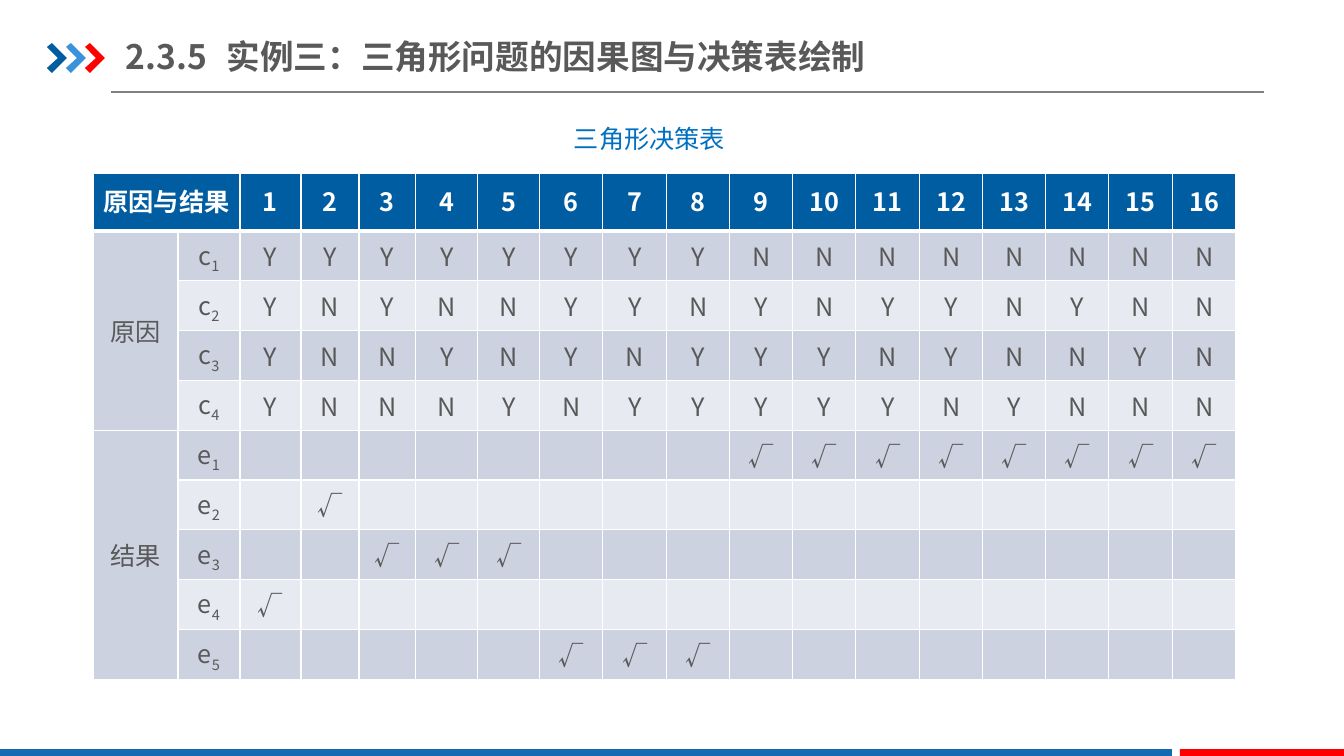
from lxml.etree import SubElement
from pptx import Presentation
from pptx.dml.color import RGBColor
from pptx.enum.shapes import MSO_CONNECTOR, MSO_SHAPE
from pptx.enum.text import MSO_ANCHOR, MSO_AUTO_SIZE, PP_ALIGN
from pptx.oxml import parse_xml
from pptx.oxml.ns import nsdecls, qn
from pptx.util import Pt

TITLE = "2.3.5\t实例三：三角形问题的因果图与决策表绘制"
CAPTION = "三角形决策表"
CORNER = "原因与结果"
RULES = 16
CAUSES = [
    "YYYYYYYYNNNNNNNN",
    "YNYNNYYNYNYYNYNN",
    "YNNYNYNYYYNYNNYN",
    "YNNNYNYYYYYNYNNN",
]
EFFECTS = [range(9, 17), [2], [3, 4, 5], [1], [6, 7, 8]]
EFFECT_ROWS = [["√" if rule in marked else "" for rule in range(1, RULES + 1)]
               for marked in EFFECTS]
GROUPS = [("原因", "c", CAUSES), ("结果", "e", EFFECT_ROWS)]

FONT = "Noto Sans CJK SC"
COLORS = {
    "navy": "005DA2", "sky": "3992DB", "red": "FF0000", "bar": "1369B2",
    "caption": "0070C0", "text": "595959", "rule": "808080", "white": "FFFFFF",
    "band_dark": "CCD2E0", "band_light": "E7EAF0",
}
CHEVRON = [(0, 4), (5, 0), (20, 15), (5, 30), (0, 25), (11, 15)]
CHEVRON_COLORS = ["navy", "sky", "red"]
BARS = [(0, 1172, "bar"), (1180, 164, "red")]
TABLE_LEFT, TABLE_TOP = 93, 173
HEADER_HEIGHT, ROW_HEIGHT = 58, 49
FIRST_WIDTHS = [85, 62, 61, 58, 57, 62, 62]
EVEN_COLUMNS, EVEN_SPAN = 11, 696


def px(length):
    return round(length * 914400 / 100.8)


def rgb(name):
    return RGBColor.from_string(COLORS[name])


def format_paragraph(paragraph, size, color, bold=False, align=PP_ALIGN.CENTER, spacing=None):
    paragraph.alignment = align
    paragraph.line_spacing = spacing
    paragraph.font.size = Pt(size)
    paragraph.font.bold = bold
    paragraph.font.name = FONT
    paragraph.font.color.rgb = rgb(color)
    defaults = paragraph._p.pPr.find(qn("a:defRPr"))
    SubElement(defaults, qn("a:ea"), typeface=FONT)


def paint(shape, color):
    shape.fill.solid()
    shape.fill.fore_color.rgb = rgb(color)
    shape.line.fill.background()
    shape.shadow.inherit = False


def format_cell(cell, fill, bottom=1):
    cell.vertical_anchor = MSO_ANCHOR.MIDDLE
    cell.fill.solid()
    cell.fill.fore_color.rgb = rgb(fill)
    properties = cell._tc.get_or_add_tcPr()
    for index, (side, width) in enumerate([("L", 1), ("R", 1), ("T", 1), ("B", bottom)]):
        properties.insert(index, parse_xml(
            f'<a:ln{side} {nsdecls("a")} w="{Pt(width)}"><a:solidFill>'
            f'<a:srgbClr val="{COLORS["white"]}"/></a:solidFill></a:ln{side}>'))


def add_frame(slide):
    rule = slide.shapes.add_connector(MSO_CONNECTOR.STRAIGHT, px(111), px(92), px(1264), px(92))
    rule.line.color.rgb = rgb("rule")
    rule.line.width = Pt(0.75)
    SubElement(rule._element.spPr, qn("a:effectLst"))
    for index, color in enumerate(CHEVRON_COLORS):
        points = [(px(47 + 19 * index + x), px(43 + y)) for x, y in CHEVRON]
        builder = slide.shapes.build_freeform(*points[0])
        builder.add_line_segments(points[1:], close=True)
        paint(builder.convert_to_shape(), color)
    for left, width, color in BARS:
        bar = slide.shapes.add_shape(MSO_SHAPE.RECTANGLE, px(left), px(749), px(width), px(9))
        paint(bar, color)


def add_headings(slide):
    title = slide.shapes.title
    title.left, title.top, title.width, title.height = px(126), px(29), px(773), px(55)
    frame = title.text_frame
    frame.text = TITLE
    frame.auto_size = MSO_AUTO_SIZE.NONE
    frame.vertical_anchor = MSO_ANCHOR.MIDDLE
    frame.margin_left = frame.margin_right = 0
    frame.margin_top = frame.margin_bottom = px(7)
    format_paragraph(frame.paragraphs[0], 24, "text", True, PP_ALIGN.LEFT)

    caption = slide.shapes.add_textbox(px(561), px(101), px(187), px(74)).text_frame
    caption.word_wrap = True
    caption.margin_left = caption.margin_right = px(13)
    caption.margin_top = caption.margin_bottom = px(7)
    caption.text = CAPTION
    format_paragraph(caption.paragraphs[0], 18, "caption", align=PP_ALIGN.JUSTIFY, spacing=1.5)


def add_decision_table(slide):
    edges = [round(EVEN_SPAN * i / EVEN_COLUMNS) for i in range(EVEN_COLUMNS + 1)]
    widths = FIRST_WIDTHS + [right - left for left, right in zip(edges, edges[1:])]
    heights = [HEADER_HEIGHT] + [ROW_HEIGHT] * (len(CAUSES) + len(EFFECTS))
    table = slide.shapes.add_table(
        len(heights), len(widths), px(TABLE_LEFT), px(TABLE_TOP),
        px(sum(widths)), px(sum(heights))).table
    for column, width in zip(table.columns, widths):
        column.width = px(width)
    for row, height in zip(table.rows, heights):
        row.height = px(height)

    for column, label in enumerate([CORNER, "", *range(1, RULES + 1)]):
        header = table.cell(0, column)
        header.text = str(label)
        format_cell(header, "navy", bottom=3)
        format_paragraph(header.text_frame.paragraphs[0], 18, "white", True, spacing=0.9)
    table.cell(0, 0).merge(table.cell(0, 1))

    row = 1
    for group, letter, lines in GROUPS:
        first = row
        for number, values in enumerate(lines, 1):
            band = "band_dark" if row % 2 else "band_light"
            labels = [group if row == first else "", letter, *values]
            for column, label in enumerate(labels):
                cell = table.cell(row, column)
                cell.text = label
                format_cell(cell, band if column else "band_dark")
                paragraph = cell.text_frame.paragraphs[0]
                format_paragraph(paragraph, 18, "text")
                if column == 1:
                    subscript = paragraph.add_run()
                    subscript.text = str(number)
                    subscript.font._element.set("baseline", "-25000")
                elif column > 1:
                    cell.margin_left = cell.margin_right = px(7)
                    cell.margin_top = cell.margin_bottom = 0
            row += 1
        table.cell(first, 0).merge(table.cell(row - 1, 0))


def main():
    presentation = Presentation()
    presentation.slide_width, presentation.slide_height = px(1344), px(756)
    slide = presentation.slides.add_slide(presentation.slide_layouts[5])
    add_frame(slide)
    add_decision_table(slide)
    add_headings(slide)
    presentation.save("out.pptx")


if __name__ == "__main__":
    main()
